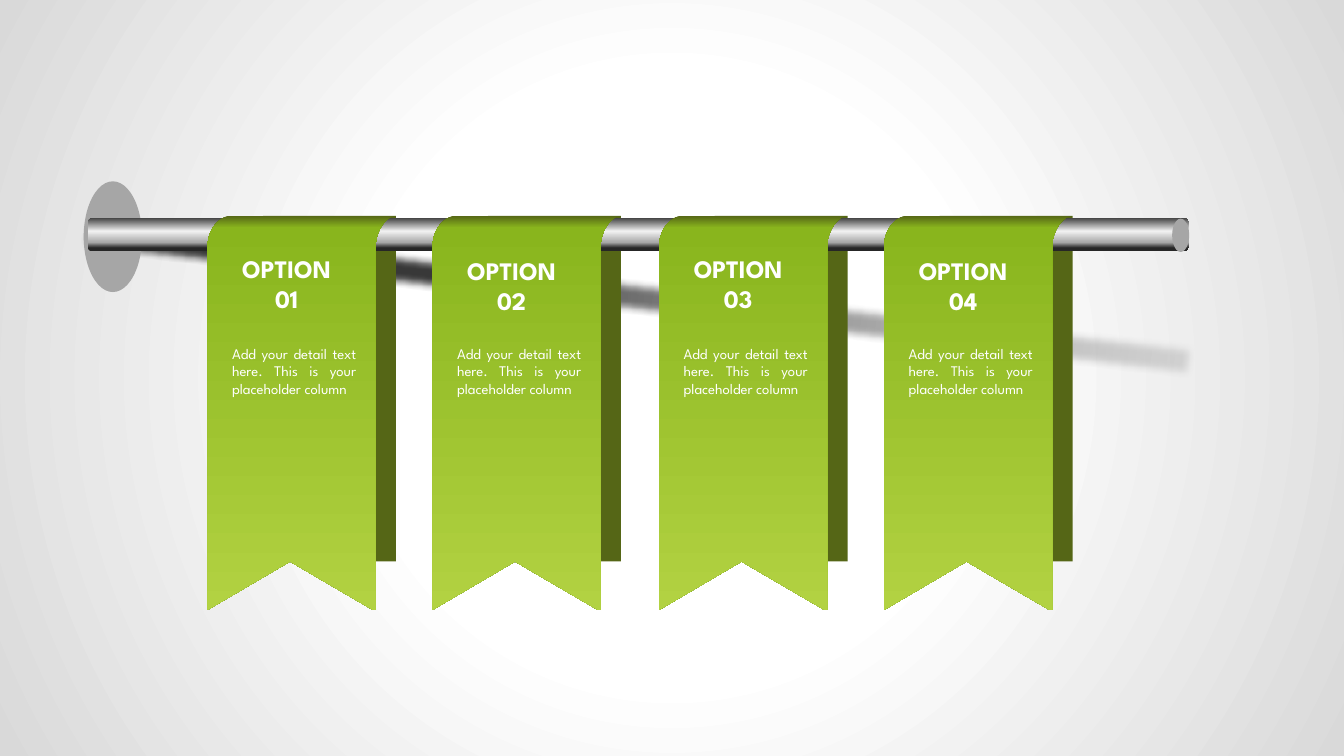
"""Build a slide with four option banners hanging from a metal rod."""
from dataclasses import dataclass

from pptx import Presentation
from pptx.dml.color import RGBColor
from pptx.enum.shapes import MSO_SHAPE
from pptx.enum.text import MSO_AUTO_SIZE, PP_ALIGN
from pptx.oxml import parse_xml
from pptx.oxml.ns import nsdecls, qn
from pptx.util import Cm, Pt


@dataclass(frozen=True)
class Theme:
    font: str = "League Spartan"
    title_size: float = 18
    body_size: float = 10.5
    text: str = "FFFFFF"
    flap: str = "556616"
    metal: str = "A6A6A6"
    backdrop: tuple = ((39, "FFFFFF", 100), (100, "D9D9D9", 100))
    rod: tuple = ((0, "404040", 100), (40, "F2F2F2", 100), (74, "A6A6A6", 100), (90, "262626", 100))
    rod_shadow: tuple = ((0, "A6A6A6", 39), (68, "000000", 78))
    banner: tuple = ((0, "556616", 100), (3, "89B51D", 100), (100, "B2D242", 100))


def paint(shape, color="FFFFFF", stops=(), angle=None):
    """Fill a shape or the background with a plain colour or a gradient."""
    shape.fill.solid()
    shape.fill.fore_color.rgb = RGBColor.from_string(color)
    if hasattr(shape, "line"):
        shape.line.fill.background()
        shape.shadow.inherit = False
    if stops:
        marks = "".join(
            f'<a:gs pos="{position * 1000}"><a:srgbClr val="{stop_color}">'
            f'<a:alpha val="{opacity * 1000}"/></a:srgbClr></a:gs>'
            for position, stop_color, opacity in stops
        )
        direction = (
            '<a:path path="circle"><a:fillToRect l="50000" t="50000" r="50000" b="50000"/></a:path>'
            if angle is None
            else f'<a:lin ang="{angle * 60000}" scaled="0"/>'
        )
        gradient = parse_xml(
            f'<a:gradFill {nsdecls("a")} rotWithShape="1"><a:gsLst>{marks}</a:gsLst>{direction}</a:gradFill>'
        )
        owner = slide.element if shape is slide.background else shape.element
        solid = next(owner.iter(qn("a:solidFill")))
        solid.getparent().replace(solid, gradient)


def curve(start, first, second, end, steps=12):
    """Return points along a cubic curve, without its start."""
    points = []
    for step in range(1, steps + 1):
        t = step / steps
        weights = ((1 - t) ** 3, 3 * t * (1 - t) ** 2, 3 * t * t * (1 - t), t ** 3)
        points.append(tuple(
            sum(weight * point[axis] for weight, point in zip(weights, (start, first, second, end)))
            for axis in (0, 1)
        ))
    return points


theme = Theme()
presentation = Presentation()
presentation.slide_width = Cm(33.87)
presentation.slide_height = Cm(19.05)
slide = presentation.slides.add_slide(presentation.slide_layouts[6])
background = slide.background
shapes = slide.shapes

background.fill.solid()
background_properties = slide.element.find(".//" + qn("p:bgPr"))
paint(slide.background, stops=theme.backdrop) if slide.background is background else None
if background_properties.find(qn("a:solidFill")) is not None:
    background.fill.gradient()
    gradient = background_properties.find(qn("a:gradFill"))
    for child in list(gradient):
        gradient.remove(child)
    stop_list = "".join(
        f'<a:gs pos="{position * 1000}"><a:srgbClr val="{color}"/></a:gs>'
        for position, color, opacity in theme.backdrop
    )
    gradient.append(parse_xml(f'<a:gsLst {nsdecls("a")}>{stop_list}</a:gsLst>'))
    gradient.append(parse_xml(
        f'<a:path {nsdecls("a")} path="circle">'
        '<a:fillToRect l="50000" t="50000" r="50000" b="50000"/></a:path>'
    ))

rod_shadow = shapes.add_shape(MSO_SHAPE.ROUNDED_RECTANGLE, Cm(1.98), Cm(7.04), Cm(28.17), Cm(0.89))
rod_shadow.rotation = 6.5
paint(rod_shadow, stops=theme.rod_shadow, angle=180)
effects = next(rod_shadow.element.iter(qn("a:effectLst")))
effects.append(parse_xml(f'<a:softEdge {nsdecls("a")} rad="63500"/>'))

banner_top = 5.44
banner_lefts = (5.23, 10.9, 16.61, 22.28)
for left in reversed(banner_lefts):
    flap = shapes.add_shape(MSO_SHAPE.RECTANGLE, Cm(left + 1.4), Cm(banner_top), Cm(3.35), Cm(8.71))
    paint(flap, theme.flap)

wall_plate = shapes.add_shape(MSO_SHAPE.OVAL, Cm(2.11), Cm(4.57), Cm(1.47), Cm(2.79))
paint(wall_plate, theme.metal)
rod = shapes.add_shape(MSO_SHAPE.ROUNDED_RECTANGLE, Cm(2.21), Cm(5.49), Cm(27.76), Cm(0.84))
rod.adjustments[0] = 0.16
paint(rod, stops=theme.rod, angle=90)
rod_end = shapes.add_shape(MSO_SHAPE.OVAL, Cm(29.54), Cm(5.51), Cm(0.43), Cm(0.84))
paint(rod_end, theme.metal)

outline = [
    (0.61, 0), (4.75, 0), (4.7, 0),
    *curve((4.7, 0), (4.45, 0.08), (4.24, 0.41), (4.24, 0.76)),
    (4.24, 9.93), (4.17, 9.93), (2.08, 8.71), (0, 9.93), (0, 0.79),
    *curve((0, 0.79), (0, 0.36), (0.28, 0), (0.61, 0)),
]
detail = "Add your detail text here. This is your placeholder column"
for number, left in enumerate(banner_lefts, start=1):
    points = [(Cm(left + x), Cm(banner_top + y)) for x, y in outline]
    builder = shapes.build_freeform(*points[0])
    builder.add_line_segments(points[1:], close=True)
    paint(builder.convert_to_shape(), stops=theme.banner, angle=90)

    title_top = 6.25 if number % 2 else 6.3
    labels = (
        (("OPTION", f"{number:02}"), (left, title_top, 3.99, 1.8), PP_ALIGN.CENTER, theme.title_size, True),
        ((detail,), (left + 0.37, 8.56, 3.63, 2.06), PP_ALIGN.JUSTIFY, theme.body_size, False),
    )
    for lines, box, alignment, size, bold in labels:
        text_frame = shapes.add_textbox(*map(Cm, box)).text_frame
        text_frame.word_wrap = True
        text_frame.auto_size = MSO_AUTO_SIZE.SHAPE_TO_FIT_TEXT
        text_frame.text = "\n".join(lines)
        font_format = {"name": theme.font, "size": Pt(size), "bold": bold}
        for paragraph in text_frame.paragraphs:
            paragraph.alignment = alignment
            font = paragraph.runs[0].font
            for attribute, value in font_format.items():
                setattr(font, attribute, value)
            font.color.rgb = RGBColor.from_string(theme.text)

presentation.save("out.pptx")
